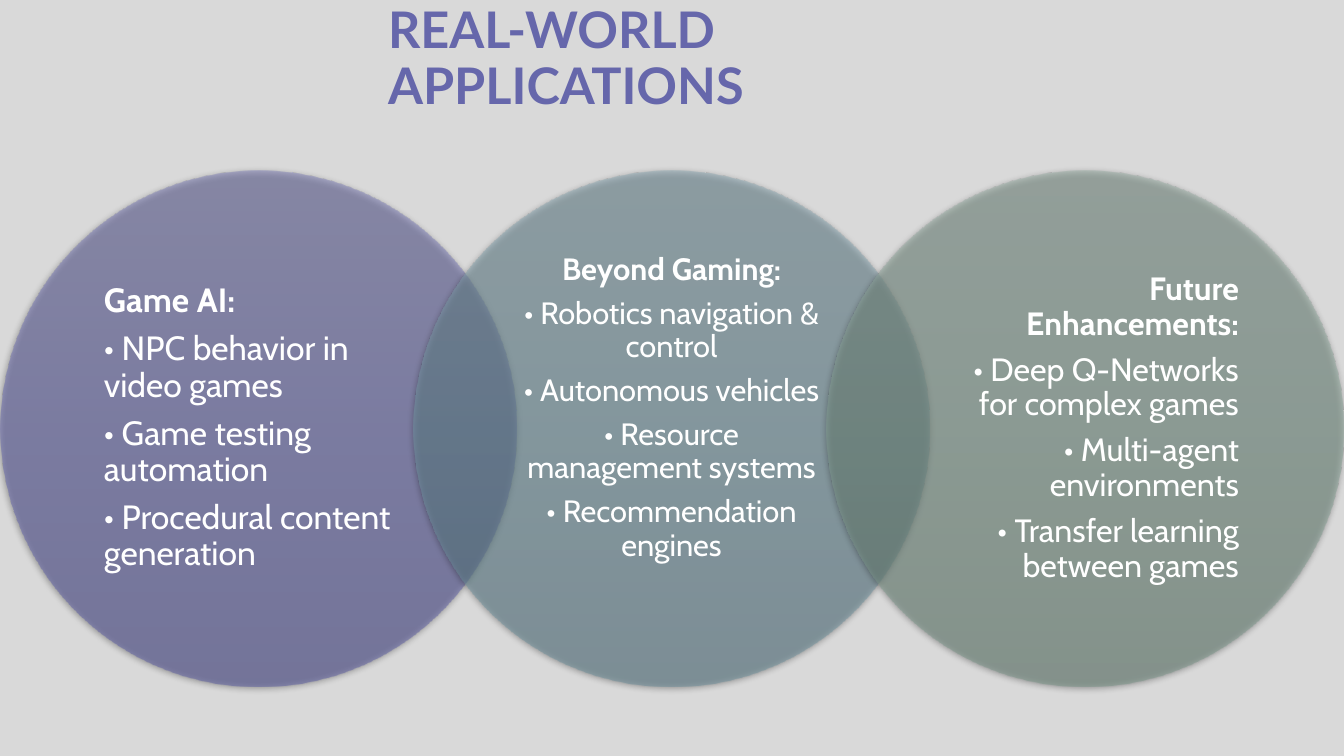
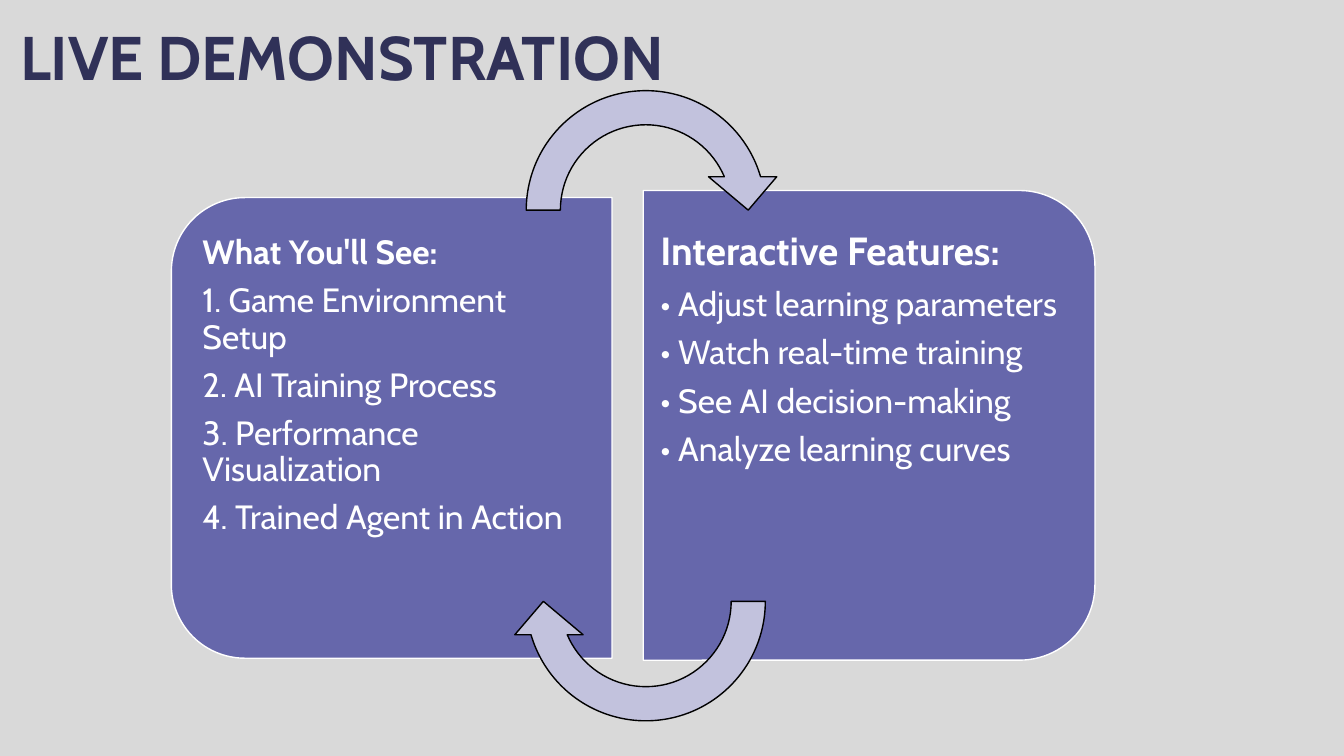
from dataclasses import dataclass

from pptx import Presentation
from pptx.dml.color import RGBColor
from pptx.enum.shapes import MSO_SHAPE
from pptx.enum.text import MSO_ANCHOR, PP_ALIGN
from pptx.oxml import parse_xml
from pptx.oxml.ns import nsdecls, qn
from pptx.shapes.autoshape import Shape
from pptx.slide import Slide
from pptx.util import Inches, Pt

LEFT, CENTER, RIGHT = PP_ALIGN.LEFT, PP_ALIGN.CENTER, PP_ALIGN.RIGHT
TOP, MIDDLE, BOTTOM = MSO_ANCHOR.TOP, MSO_ANCHOR.MIDDLE, MSO_ANCHOR.BOTTOM
OVAL, ARROW = MSO_SHAPE.OVAL, MSO_SHAPE.CIRCULAR_ARROW
PANEL = MSO_SHAPE.ROUND_2_SAME_RECTANGLE

BACKGROUND, WHITE, BLACK = "D9D9D9", "FFFFFF", "000000"
PURPLE, NAVY, LAVENDER = "6667AB", "303158", "C2C2DD"
BODY_FONT, HEADING_FONT = "Cabin", "Lato"
CIRCLE_TOP, CIRCLE_SIZE, CIRCLE_PITCH = 1.69, 5.12, 4.1
CIRCLE_INSET = 0.75
ARROW_LEFT, ARROW_SIZE = 5.05, 2.71
ARROW_ADJUSTMENTS = (0.125, 11.423, 204.577, 108, 0.125)


@dataclass(frozen=True)
class Box:
    left: float
    top: float
    width: float
    height: float


@dataclass(frozen=True)
class Content:
    heading: str
    items: tuple[str, ...]
    size: int
    heading_size: int
    alignment: PP_ALIGN = LEFT


@dataclass(frozen=True)
class Circle:
    gradient: tuple[str, str, str]
    content: Content
    bottom_inset: float = 0.03


@dataclass(frozen=True)
class Panel:
    shape_box: Box
    rotation: int
    text_box: Box
    insets: tuple[float, float, float, float]
    content: Content


CIRCLES = (
    Circle(("797AB4", "6364AE", "54559F"), Content("Game AI:", (
        "• NPC behavior in video games",
        "• Game testing automation",
        "• Procedural content generation"), 24, 24)),
    Circle(("87A4AF", "749AA7", "658A97"), Content("Beyond Gaming:", (
        "• Robotics navigation & control",
        "• Autonomous vehicles",
        "• Resource management systems",
        "• Recommendation engines"), 22, 22, CENTER), 0.43),
    Circle(("94AAA0", "85A194", "749184"), Content("Future Enhancements:", (
        "• Deep Q-Networks for complex games",
        "• Multi-agent environments",
        "• Transfer learning between games"), 23, 23, RIGHT)),
)

PANELS = (
    Panel(Box(1.6, 2.06, 4.57, 4.37), 270, Box(1.91, 2.17, 4.16, 4.14),
          (0.1, 0.17, 0.15, 0.17), Content("What You'll See:", (
              "1. Game Environment Setup",
              "2. AI Training Process",
              "3. Performance Visualization",
              "4. Trained Agent in Action"), 24, 24)),
    Panel(Box(6.29, 1.98, 4.66, 4.48), 90, Box(6.38, 2.11, 4.26, 4.22),
          (0.17, 0.19, 0.12, 0.19), Content("Interactive Features:", (
              "• Adjust learning parameters",
              "• Watch real-time training",
              "• See AI decision-making",
              "• Analyze learning curves"), 24, 28)),
)


def color(value: str) -> RGBColor:
    """Turn a hex string into a colour."""
    return RGBColor.from_string(value)


def add_slide(presentation: Presentation) -> Slide:
    """Add a blank slide with the shared background."""
    slide = presentation.slides.add_slide(presentation.slide_layouts[6])
    slide.background.fill.solid()
    slide.background.fill.fore_color.rgb = color(BACKGROUND)
    return slide


def add_text_box(slide: Slide, box: Box, anchor: MSO_ANCHOR,
                 insets: tuple[float, float, float, float]) -> Shape:
    """Add an empty wrapping text box with insets left, top, right, bottom."""
    shape = slide.shapes.add_textbox(Inches(box.left), Inches(box.top),
                                     Inches(box.width), Inches(box.height))
    frame = shape.text_frame
    frame.word_wrap = True
    frame.vertical_anchor = anchor
    frame.margin_left, frame.margin_top, frame.margin_right, frame.margin_bottom = map(Inches, insets)
    return shape


def add_title(slide: Slide, box: Box, text: str, font_name: str, size: int, fill: str) -> None:
    """Add a bold slide title that sits on the bottom of its box."""
    shape = add_text_box(slide, box, BOTTOM, (0.1, 0.05, 0.1, 0.05))
    shape.text_frame.text = text
    paragraph = shape.text_frame.paragraphs[0]
    paragraph.line_spacing = Pt(40)
    font = paragraph.runs[0].font
    font.name, font.size, font.bold = font_name, Pt(size), True
    font.color.rgb = color(fill)


def add_content(shape: Shape, content: Content) -> None:
    """Write a bold heading and its items."""
    frame = shape.text_frame
    frame.text = "\n".join((content.heading, *content.items))
    for index, paragraph in enumerate(frame.paragraphs):
        size = content.size if index else content.heading_size
        paragraph.alignment = content.alignment
        paragraph.line_spacing = 0.9
        paragraph.space_after = Pt(round(size * 0.35, 1))
        font = paragraph.runs[0].font
        font.name, font.size, font.bold = BODY_FONT, Pt(size), index == 0
        font.color.rgb = color(WHITE)


def add_shape(slide: Slide, kind: MSO_SHAPE, box: Box, rotation: int = 0,
              adjustments: tuple[float, ...] = ()) -> Shape:
    """Add a preset shape without an inherited shadow."""
    shape = slide.shapes.add_shape(kind, Inches(box.left), Inches(box.top),
                                   Inches(box.width), Inches(box.height))
    shape.shadow.inherit = False
    shape.rotation = rotation
    for index, value in enumerate(adjustments):
        shape.adjustments[index] = value
    return shape


def paint(shape: Shape, fill: str, line: str) -> None:
    """Give a shape a solid fill and a thin outline."""
    shape.fill.solid()
    shape.fill.fore_color.rgb = color(fill)
    shape.line.color.rgb = color(line)
    shape.line.width = Pt(1)


def paint_glass(shape: Shape, gradient: tuple[str, str, str]) -> None:
    """Give a shape a half-transparent gradient and a soft shadow."""
    shape.line.fill.background()
    shape.fill.gradient()
    properties = shape._element.spPr
    stops = "".join(
        f'<a:gs pos="{index * 50000}"><a:srgbClr val="{value}"><a:alpha val="50000"/></a:srgbClr></a:gs>'
        for index, value in enumerate(gradient))
    properties.replace(properties.find(qn("a:gradFill")), parse_xml(
        f'<a:gradFill {nsdecls("a")} rotWithShape="1"><a:gsLst>{stops}</a:gsLst>'
        '<a:lin ang="5400000" scaled="0"/></a:gradFill>'))
    properties.find(qn("a:effectLst")).append(parse_xml(
        f'<a:outerShdw {nsdecls("a")} blurRad="{Pt(4.5)}" dist="{Pt(1.5)}" dir="5400000" '
        f'algn="ctr" rotWithShape="0"><a:srgbClr val="{BLACK}"><a:alpha val="63000"/>'
        '</a:srgbClr></a:outerShdw>'))


def build_applications(presentation: Presentation) -> None:
    """Build the slide of three overlapping circles."""
    slide = add_slide(presentation)
    add_title(slide, Box(3.75, 0.03, 6.45, 1.16), "REAL-WORLD APPLICATIONS",
              HEADING_FONT, 36, PURPLE)
    text_size = CIRCLE_SIZE - 2 * CIRCLE_INSET
    for index, circle in enumerate(CIRCLES):
        left = index * CIRCLE_PITCH
        shape = add_shape(slide, OVAL, Box(left, CIRCLE_TOP, CIRCLE_SIZE, CIRCLE_SIZE))
        paint_glass(shape, circle.gradient)
        text_box = Box(left + CIRCLE_INSET, CIRCLE_TOP + CIRCLE_INSET, text_size, text_size)
        add_content(add_text_box(slide, text_box, MIDDLE, (0.28, 0.03, 0.28, circle.bottom_inset)),
                    circle.content)


def build_demonstration(presentation: Presentation) -> None:
    """Build the slide of two panels joined by arrows."""
    slide = add_slide(presentation)
    add_title(slide, Box(0.1, 0.18, 6.78, 0.79), "LIVE DEMONSTRATION", BODY_FONT, 44, NAVY)
    for panel in PANELS:
        paint(add_shape(slide, PANEL, panel.shape_box, panel.rotation, (0.167, 0)), PURPLE, WHITE)
        add_content(add_text_box(slide, panel.text_box, TOP, panel.insets), panel.content)
    for top, rotation in ((0.73, 0), (4.61, 180)):
        box = Box(ARROW_LEFT, top, ARROW_SIZE, ARROW_SIZE)
        paint(add_shape(slide, ARROW, box, rotation, ARROW_ADJUSTMENTS), LAVENDER, BLACK)


def main() -> None:
    """Build and save the presentation."""
    presentation = Presentation()
    presentation.slide_width, presentation.slide_height = Inches(13.33), Inches(7.5)
    build_applications(presentation)
    build_demonstration(presentation)
    presentation.save("out.pptx")


if __name__ == "__main__":
    main()
